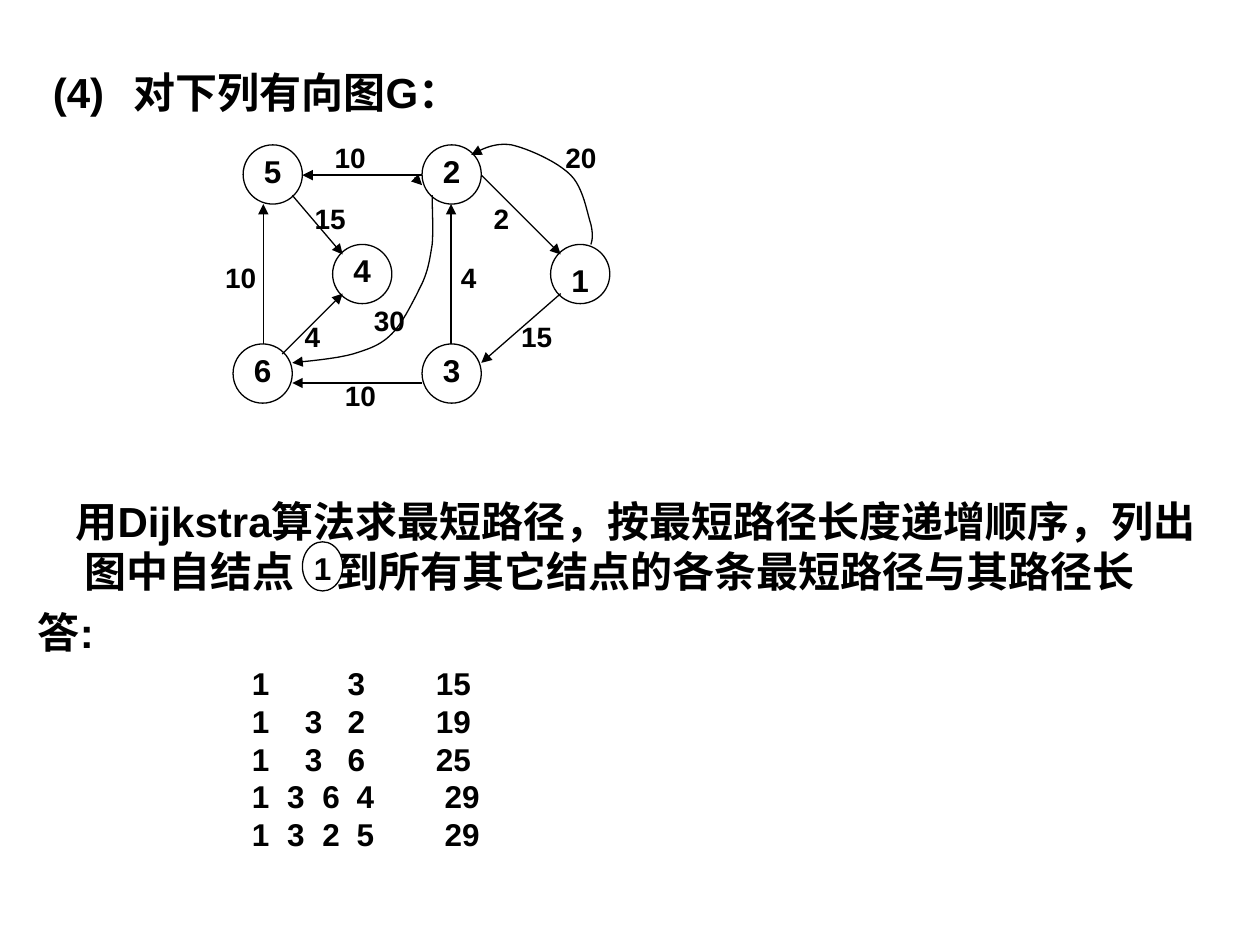
from dataclasses import dataclass

from lxml.etree import SubElement
from pptx import Presentation
from pptx.dml.color import RGBColor
from pptx.enum.shapes import MSO_CONNECTOR as CONNECTOR, MSO_SHAPE as SHAPE
from pptx.enum.text import MSO_ANCHOR as ANCHOR, MSO_AUTO_SIZE as AUTO_SIZE, PP_ALIGN as ALIGN
from pptx.oxml.ns import qn
from pptx.util import Inches, Pt


@dataclass(frozen=True)
class Theme:
    font: str = "Arial"
    ink: RGBColor = RGBColor(0, 0, 0)
    paper: RGBColor = RGBColor(255, 255, 255)
    heading: int = 24
    body: int = 18
    label: int = 16
    line: float = 0.75


THEME = Theme()

NODE_SIZE = 0.47
NODES = [("5", 1.93, 1.15), ("2", 3.35, 1.15), ("4", 2.64, 1.94),
         ("6", 1.85, 2.73), ("3", 3.35, 2.73), ("1", 4.37, 1.94)]
LOWERED = {"1": 0.05}

EDGES = [((3.35, 1.39), (2.4, 1.39)), ((2.09, 2.73), (2.09, 1.62)),
         ((3.35, 3.04), (2.32, 3.04)), ((4.45, 2.33), (3.82, 2.88)),
         ((3.82, 1.39), (4.45, 2.02)), ((3.58, 2.73), (3.58, 1.62)),
         ((2.24, 2.81), (2.72, 2.33)), ((2.32, 1.55), (2.72, 2.02)),
         ((3.29, 1.41), (3.35, 1.47))]

CURVE_1_TO_2 = [(4.69, 1.94), (4.7, 1.91), (4.71, 1.87), (4.69, 1.78),
                (4.66, 1.69), (4.63, 1.49), (4.53, 1.39),
                (4.42, 1.28), (4.19, 1.18), (4.06, 1.15),
                (3.93, 1.13), (3.83, 1.18), (3.74, 1.23)]
CURVE_2_TO_6 = [(3.43, 1.55), (3.43, 1.68), (3.44, 1.82), (3.43, 1.94),
                (3.41, 2.06), (3.4, 2.14), (3.35, 2.25),
                (3.29, 2.37), (3.2, 2.56), (3.11, 2.65),
                (3.02, 2.74), (2.93, 2.77), (2.8, 2.81),
                (2.66, 2.85), (2.4, 2.87), (2.32, 2.88)]

WEIGHTS = [("10", 2.78, 1.25), ("10", 1.91, 2.2), ("15", 2.62, 1.73),
           ("4", 2.48, 2.67), ("10", 2.86, 3.14), ("4", 3.72, 2.2),
           ("2", 3.98, 1.73), ("15", 4.26, 2.67), ("20", 4.61, 1.25),
           ("30", 3.09, 2.54)]

SHORTEST_PATHS = [("1", "3", "15"), ("1", "3", "2", "19"), ("1", "3", "6", "25"),
                  ("1", "3", "6", "4", "29"), ("1", "3", "2", "5", "29")]
PATH_STOPS = {3: (0.76, 1.46), 4: (0.42, 0.76, 1.46), 5: (0.28, 0.56, 0.83, 1.53)}


def write(paragraph, text, size=THEME.body, align=ALIGN.LEFT, spacing=None, hanging=0, stops=()):
    paragraph.alignment = align
    if spacing:
        paragraph.line_spacing = spacing
    properties = paragraph._p.get_or_add_pPr()
    if hanging:
        properties.set("marL", str(Inches(hanging)))
        properties.set("indent", str(Inches(-hanging)))
    if stops:
        tabs = SubElement(properties, qn("a:tabLst"))
        for stop in stops:
            SubElement(tabs, qn("a:tab"), pos=str(Inches(stop)), algn="l")
    run = paragraph.add_run()
    run.text = text
    run.font.name = THEME.font
    run.font.size = Pt(size)
    run.font.bold = True
    run.font.color.rgb = THEME.ink


def prepare_frame(shape, anchor=ANCHOR.TOP, wrap=True):
    frame = shape.text_frame
    frame.auto_size = AUTO_SIZE.NONE
    frame.word_wrap = wrap
    frame.vertical_anchor = anchor
    frame.margin_left = frame.margin_right = frame.margin_top = frame.margin_bottom = 0
    return frame


def add_text(slide, text, left, top, width, height, anchor=ANCHOR.TOP, **style):
    box = slide.shapes.add_textbox(Inches(left), Inches(top), Inches(width), Inches(height))
    write(prepare_frame(box, anchor).paragraphs[0], text, **style)


def set_title(slide, text):
    title = slide.shapes.title
    title.left, title.top, title.width, title.height = map(Inches, (0.42, 0.53, 9, 0.4))
    write(prepare_frame(title).paragraphs[0], text, size=THEME.heading, stops=[0.64])


def outline(shape):
    shape.line.color.rgb = THEME.ink
    shape.line.width = Pt(THEME.line)


def add_arrowhead(shape):
    SubElement(shape.line._get_or_add_ln(), qn("a:tailEnd"), type="triangle")


def add_node(slide, name, left, top, width=NODE_SIZE, height=NODE_SIZE, drop=0):
    node = slide.shapes.add_shape(SHAPE.OVAL, Inches(left), Inches(top),
                                  Inches(width), Inches(height))
    node.shadow.inherit = False
    node.fill.solid()
    node.fill.fore_color.rgb = THEME.paper
    outline(node)
    frame = prepare_frame(node, ANCHOR.MIDDLE, wrap=False)
    frame.margin_top = Inches(max(2 * drop, 0))
    frame.margin_bottom = Inches(max(-2 * drop, 0))
    write(frame.paragraphs[0], name, align=ALIGN.CENTER)


def add_edge(slide, start, end):
    edge = slide.shapes.add_connector(CONNECTOR.STRAIGHT, *map(Inches, start + end))
    outline(edge)
    add_arrowhead(edge)
    SubElement(edge._element.spPr, qn("a:effectLst"))


def bezier_points(controls, steps=12):
    points = [controls[0]]
    for first in range(0, len(controls) - 1, 3):
        a, b, c, d = controls[first:first + 4]
        for step in range(1, steps + 1):
            t = step / steps
            s = 1 - t
            points.append(tuple(s**3 * p + 3 * s * s * t * q + 3 * s * t * t * r + t**3 * e
                                for p, q, r, e in zip(a, b, c, d)))
    return points


def add_curved_edge(slide, controls):
    start, *rest = [(Inches(x), Inches(y)) for x, y in bezier_points(controls)]
    builder = slide.shapes.build_freeform(*start)
    builder.add_line_segments(rest, close=False)
    curve = builder.convert_to_shape()
    curve.shadow.inherit = False
    curve.fill.background()
    outline(curve)
    add_arrowhead(curve)


def add_graph(slide):
    for name, left, top in NODES:
        add_node(slide, name, left, top, drop=LOWERED.get(name, -0.03))
    for start, end in EDGES:
        add_edge(slide, start, end)
    for controls in (CURVE_1_TO_2, CURVE_2_TO_6):
        add_curved_edge(slide, controls)
    for weight, x, y in WEIGHTS:
        add_text(slide, weight, x - 0.2, y - 0.15, 0.4, 0.3, anchor=ANCHOR.MIDDLE,
                 size=THEME.label, align=ALIGN.CENTER)


def add_shortest_paths(slide):
    box = slide.shapes.add_textbox(Inches(2), Inches(5.27), Inches(3), Inches(1.5))
    frame = prepare_frame(box)
    for index, row in enumerate(SHORTEST_PATHS):
        paragraph = frame.add_paragraph() if index else frame.paragraphs[0]
        write(paragraph, "\t".join(row), spacing=Pt(21.6), stops=PATH_STOPS[len(row)])


def main():
    presentation = Presentation()
    presentation.slide_width, presentation.slide_height = Inches(10), Inches(7.5)
    slide = presentation.slides.add_slide(presentation.slide_layouts[5])
    set_title(slide, "(4)\t对下列有向图G：")
    add_text(slide, "用Dijkstra算法求最短路径，按最短路径长度递增顺序，列出"
             "图中自结点\t到所有其它结点的各条最短路径与其路径长",
             0.6, 3.93, 9.15, 0.8, size=THEME.heading, hanging=0.07, stops=[2.01])
    add_text(slide, "答:", 0.3, 4.81, 1, 0.4, size=THEME.heading)
    add_node(slide, "1", 2.4, 4.3, width=0.32, height=0.39, drop=0.01)
    add_graph(slide)
    add_shortest_paths(slide)
    presentation.save("out.pptx")


if __name__ == "__main__":
    main()
